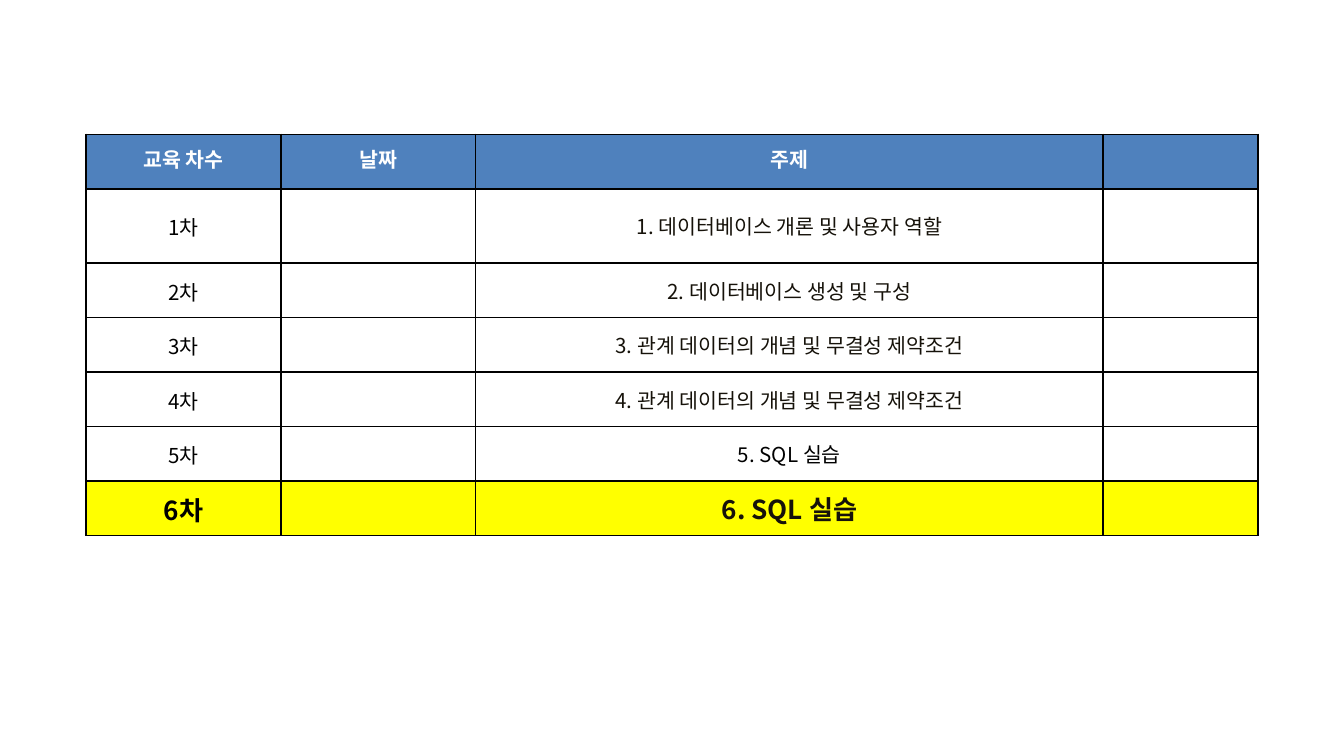
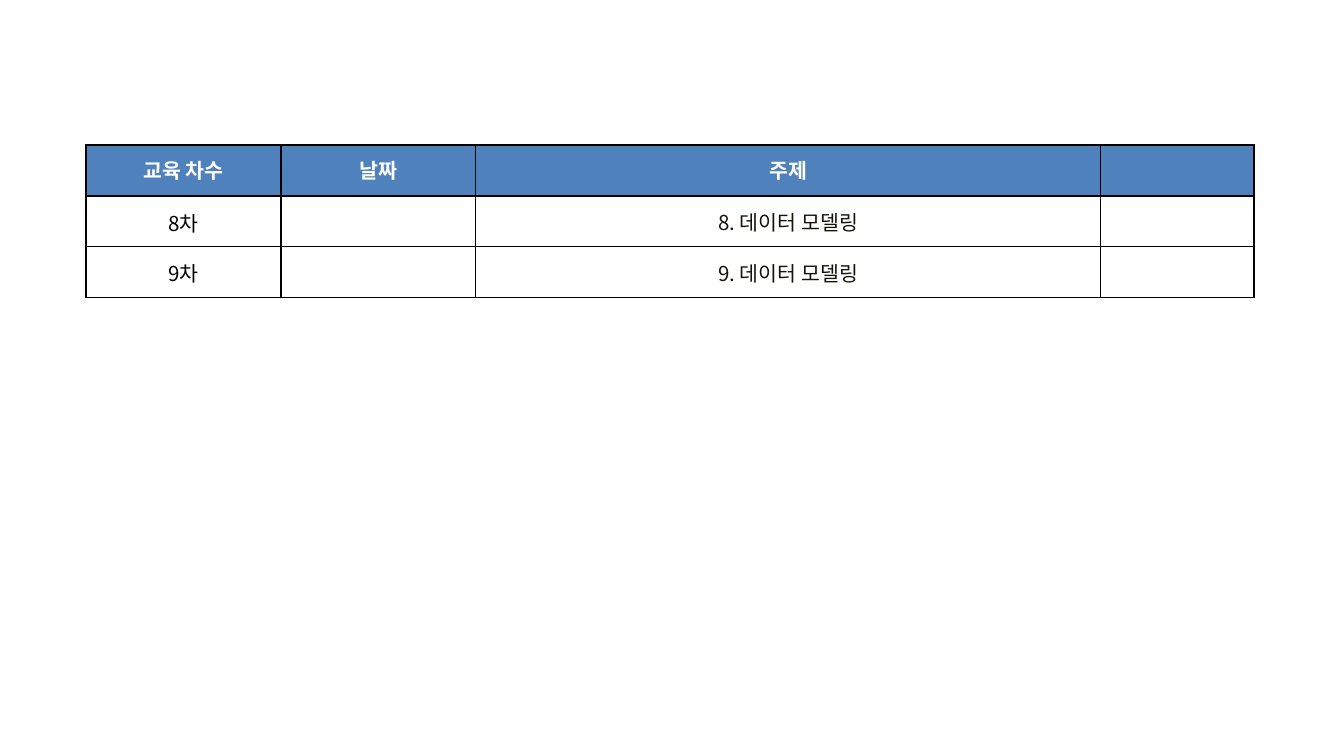
from dataclasses import dataclass

from lxml import etree
from pptx import Presentation
from pptx.dml.color import RGBColor
from pptx.enum.text import MSO_ANCHOR, PP_ALIGN
from pptx.oxml.ns import qn
from pptx.util import Cm, Pt

CENTER = PP_ALIGN.CENTER
TOP = MSO_ANCHOR.TOP
MIDDLE = MSO_ANCHOR.MIDDLE


@dataclass(frozen=True)
class Theme:
    font: str = "Noto Sans CJK KR"
    header_fill: str = "4F81BD"
    current_fill: str = "FFFF00"
    header_text: str = "FFFFFF"
    session_text: str = "000000"
    topic_text: str = "16120A"
    border: str = "000000"
    border_width: int = Pt(1)
    body_size: int = Pt(11)
    current_size: int = Pt(14)


THEME = Theme()


def write_text(cell, text, *, color, size=THEME.body_size, bold=False,
               anchor=MIDDLE, margins=(0, 0, 0, 0)):
    """Fill a cell with centred text; margins are left, top, right, bottom in cm."""
    cell.margin_left, cell.margin_top, cell.margin_right, cell.margin_bottom = map(Cm, margins)
    cell.vertical_anchor = anchor
    paragraph = cell.text_frame.paragraphs[0]
    paragraph.alignment = CENTER
    if not text:
        return
    run = paragraph.add_run()
    run.text = text
    run.font.size = size
    run.font.bold = bold
    run.font.color.rgb = RGBColor.from_string(color)
    run.font.name = THEME.font
    etree.SubElement(run.font._element, qn("a:ea"), typeface=THEME.font)


def style_cell(cell, fill):
    """Draw all four borders, then the fill, or none."""
    properties = cell._tc.get_or_add_tcPr()
    for side in ("a:lnL", "a:lnR", "a:lnT", "a:lnB"):
        line = etree.SubElement(properties, qn(side), w=str(THEME.border_width))
        solid = etree.SubElement(line, qn("a:solidFill"))
        etree.SubElement(solid, qn("a:srgbClr"), val=THEME.border)
    if fill:
        cell.fill.solid()
        cell.fill.fore_color.rgb = RGBColor.from_string(fill)
    else:
        cell.fill.background()


HEADINGS = ("교육 차수", "날짜", "주제", "")
HEADER_MARGINS = (0.33, 0.18, 0.33, 0.18)
SESSION_MARGINS = (0.03, 0.03, 0.03, 0)
LEFT = 1.63
CURRENT_SESSION = 6
BLACK_TOPIC_SESSION = 5

schedules = (
    {
        "top": 2.54,
        "columns": (3.68, 3.68, 11.86, 2.92),
        "rows": (1.03, 1.4, 1.03, 1.03, 1.03, 1.03, 1.03),
        "first_session": 1,
        "topics": (
            "데이터베이스 개론 및 사용자 역할",
            "데이터베이스 생성 및 구성",
            "관계 데이터의 개념 및 무결성 제약조건",
            "관계 데이터의 개념 및 무결성 제약조건",
            "SQL 실습",
            "SQL 실습",
        ),
    },
    {
        "top": 2.74,
        "columns": (3.68, 3.68, 11.81, 2.9),
        "rows": (0.96,) * 3,
        "first_session": 8,
        "topics": ("데이터 모델링", "데이터 모델링"),
    },
)

prs = Presentation()
prs.slide_width = Cm(25.4)
prs.slide_height = Cm(14.29)
blank = prs.slide_layouts[6]

for schedule in schedules:
    slide = prs.slides.add_slide(blank)
    columns, rows = schedule["columns"], schedule["rows"]
    table = slide.shapes.add_table(
        len(rows), len(columns), Cm(LEFT), Cm(schedule["top"]),
        Cm(sum(columns)), Cm(sum(rows))).table
    table.first_row = False
    table.horz_banding = False
    for column, width in zip(table.columns, columns):
        column.width = Cm(width)
    for row, height in zip(table.rows, rows):
        row.height = Cm(height)

    for cell, heading in zip(table.rows[0].cells, HEADINGS):
        write_text(cell, heading, color=THEME.header_text, bold=True, anchor=TOP,
                   margins=HEADER_MARGINS if heading else (0, 0, 0, 0))
        style_cell(cell, THEME.header_fill)

    for row_index, topic in enumerate(schedule["topics"], start=1):
        session = schedule["first_session"] + row_index - 1
        current = session == CURRENT_SESSION
        size = THEME.current_size if current else THEME.body_size
        topic_color = THEME.session_text if session == BLACK_TOPIC_SESSION else THEME.topic_text
        contents = (
            (f"{session}차", THEME.session_text, SESSION_MARGINS),
            ("", THEME.session_text, (0, 0, 0, 0)),
            (f"{session}. {topic}", topic_color, (0, 0, 0, 0)),
            ("", THEME.session_text, (0, 0, 0, 0)),
        )
        for cell, (text, color, margins) in zip(table.rows[row_index].cells, contents):
            write_text(cell, text, color=color, size=size, bold=current, margins=margins)
            style_cell(cell, THEME.current_fill if current else None)

prs.save("out.pptx")
